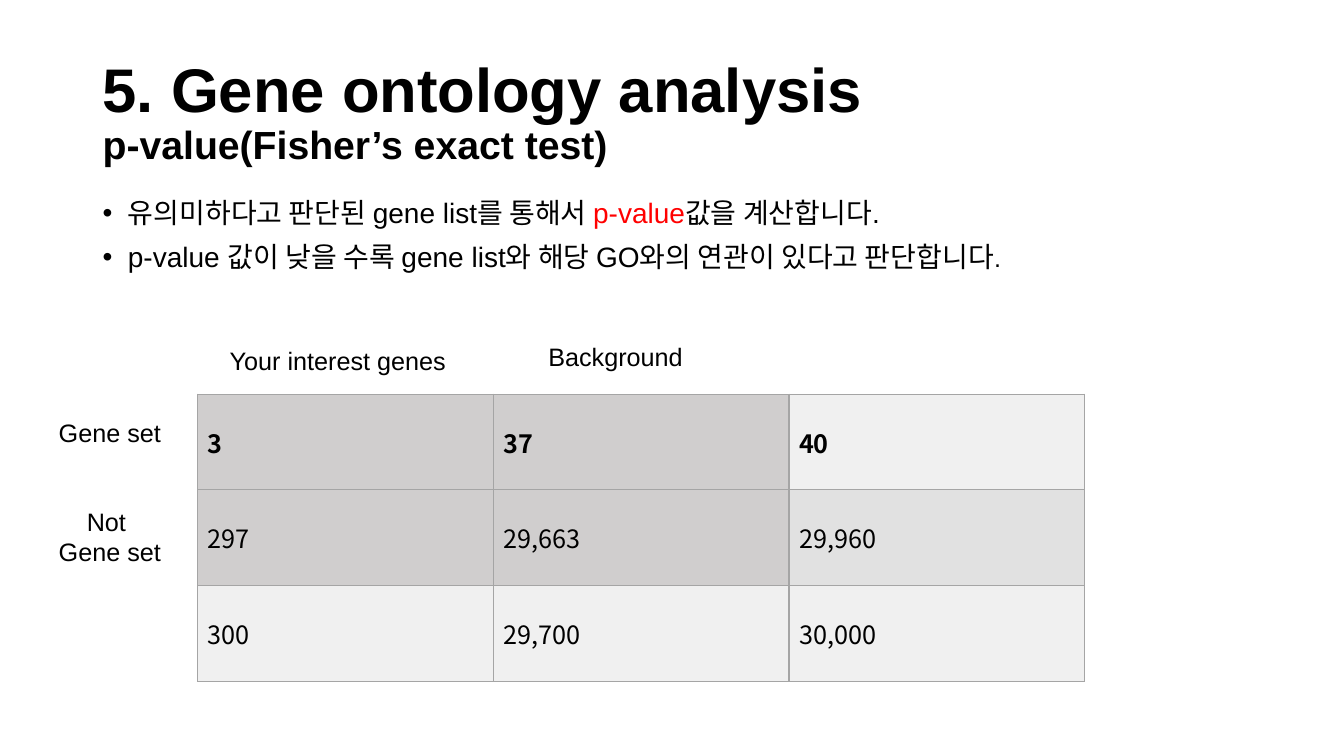
from dataclasses import dataclass

from lxml.etree import SubElement
from pptx import Presentation
from pptx.dml.color import RGBColor
from pptx.enum.text import MSO_ANCHOR, MSO_AUTO_SIZE, PP_ALIGN
from pptx.oxml.ns import qn
from pptx.slide import Slide
from pptx.table import _Cell
from pptx.text.text import TextFrame, _Paragraph
from pptx.util import Inches, Pt


@dataclass(frozen=True)
class Theme:
    font: str = "Arial"
    table_font: str = "Noto Sans CJK KR"
    ink: str = "000000"
    accent: str = "FF0000"
    border: str = "A5A5A5"
    dark: str = "D0CECE"
    mid: str = "E1E1E1"
    light: str = "F0F0F0"
    title: int = 44
    subtitle: int = 28
    body: int = 20
    small: int = 18


THEME = Theme()


@dataclass(frozen=True)
class Span:
    text: str
    size: int = THEME.body
    color: str = THEME.ink
    bold: bool = False
    font: str = THEME.font


@dataclass(frozen=True)
class Label:
    lines: tuple[str, ...]
    left: float
    top: float
    width: float
    height: float


@dataclass(frozen=True)
class Entry:
    text: str
    fill: str


TITLE = (
    Span("5. Gene ontology analysis", THEME.title, bold=True),
    Span("p-value(Fisher’s exact test)", THEME.subtitle, bold=True),
)
BULLETS = (
    (
        Span("유의미하다고 판단된 gene list를 통해서 "),
        Span("p-value", color=THEME.accent),
        Span("값을 계산합니다."),
    ),
    (
        Span("p-value 값이 낮을 수록 gene list와 해당 GO와의 연관이 있다고 판단합니다"),
        Span(".", THEME.small),
    ),
)
LABELS = (
    Label(("Gene set",), 0.32, 4.09, 1.54, 0.4),
    Label(("Not ", "Gene set"), 0.32, 4.97, 1.54, 0.71),
    Label(("Your interest genes ",), 2.09, 3.38, 2.59, 0.4),
    Label(("Background",), 4.81, 3.34, 2.59, 0.4),
)
COUNTS = (
    (Entry("3", THEME.dark), Entry("37", THEME.dark), Entry("40", THEME.light)),
    (Entry("297", THEME.dark), Entry("29,663", THEME.dark), Entry("29,960", THEME.mid)),
    (Entry("300", THEME.light), Entry("29,700", THEME.light), Entry("30,000", THEME.light)),
)


def add_span(p: _Paragraph, span: Span) -> None:
    r = p.add_run()
    r.text = span.text
    formats = {"name": span.font, "size": Pt(span.size), "bold": span.bold}
    for name, value in formats.items():
        setattr(r.font, name, value)
    r.font.color.rgb = RGBColor.from_string(span.color)


def add_frame(s: Slide, left: float, top: float, width: float, height: float) -> TextFrame:
    tf = s.shapes.add_textbox(Inches(left), Inches(top), Inches(width), Inches(height)).text_frame
    tf.word_wrap = True
    return tf


def next_paragraph(tf: TextFrame, index: int) -> _Paragraph:
    return tf.add_paragraph() if index else tf.paragraphs[0]


def add_title(s: Slide) -> None:
    tf = add_frame(s, 0.92, 0.4, 11.5, 1.45)
    tf.vertical_anchor = MSO_ANCHOR.MIDDLE
    p = tf.paragraphs[0]
    p.line_spacing = 0.9
    for i, span in enumerate(TITLE):
        if i:
            p.add_line_break()
        add_span(p, span)


def add_bullets(s: Slide) -> None:
    tf = add_frame(s, 0.92, 1.93, 11.37, 4.76)
    for i, spans in enumerate(BULLETS):
        p = next_paragraph(tf, i)
        for name, value in {"line_spacing": 0.9, "space_before": Pt(10)}.items():
            setattr(p, name, value)
        pPr = p._p.get_or_add_pPr()
        pPr.set("marL", str(Inches(0.25)))
        pPr.set("indent", str(Inches(-0.25)))
        SubElement(pPr, qn("a:buFont"), typeface=THEME.font)
        SubElement(pPr, qn("a:buChar"), char="•")
        for span in spans:
            add_span(p, span)


def add_label(s: Slide, label: Label) -> None:
    tf = add_frame(s, label.left, label.top, label.width, label.height)
    tf.auto_size = MSO_AUTO_SIZE.SHAPE_TO_FIT_TEXT
    for i, line in enumerate(label.lines):
        p = next_paragraph(tf, i)
        p.alignment = PP_ALIGN.CENTER
        add_span(p, Span(line, THEME.small))


def add_borders(cell: _Cell) -> None:
    tcPr = cell._tc.get_or_add_tcPr()
    for i, side in enumerate(("lnL", "lnR", "lnT", "lnB")):
        ln = tcPr.makeelement(qn(f"a:{side}"), {"w": str(Pt(1))})
        fill = SubElement(ln, qn("a:solidFill"))
        SubElement(fill, qn("a:srgbClr"), val=THEME.border)
        tcPr.insert(i, ln)


def add_counts(s: Slide) -> None:
    rows, cols = len(COUNTS), len(COUNTS[0])
    table = s.shapes.add_table(
        rows, cols, Inches(1.96), Inches(3.91), Inches(8.8), Inches(2.85)
    ).table
    for name in ("first_row", "horz_banding"):
        setattr(table, name, False)
    for i, entries in enumerate(COUNTS):
        for j, entry in enumerate(entries):
            cell = table.cell(i, j)
            cell.vertical_anchor = MSO_ANCHOR.MIDDLE
            cell.fill.solid()
            cell.fill.fore_color.rgb = RGBColor.from_string(entry.fill)
            add_borders(cell)
            span = Span(entry.text, THEME.small, bold=i == 0, font=THEME.table_font)
            add_span(cell.text_frame.paragraphs[0], span)


def main() -> None:
    prs = Presentation()
    prs.slide_width, prs.slide_height = Inches(13.33), Inches(7.5)
    s = prs.slides.add_slide(prs.slide_layouts[6])
    add_title(s)
    add_counts(s)
    for label in LABELS:
        add_label(s, label)
    add_bullets(s)
    prs.save("out.pptx")


if __name__ == "__main__":
    main()
